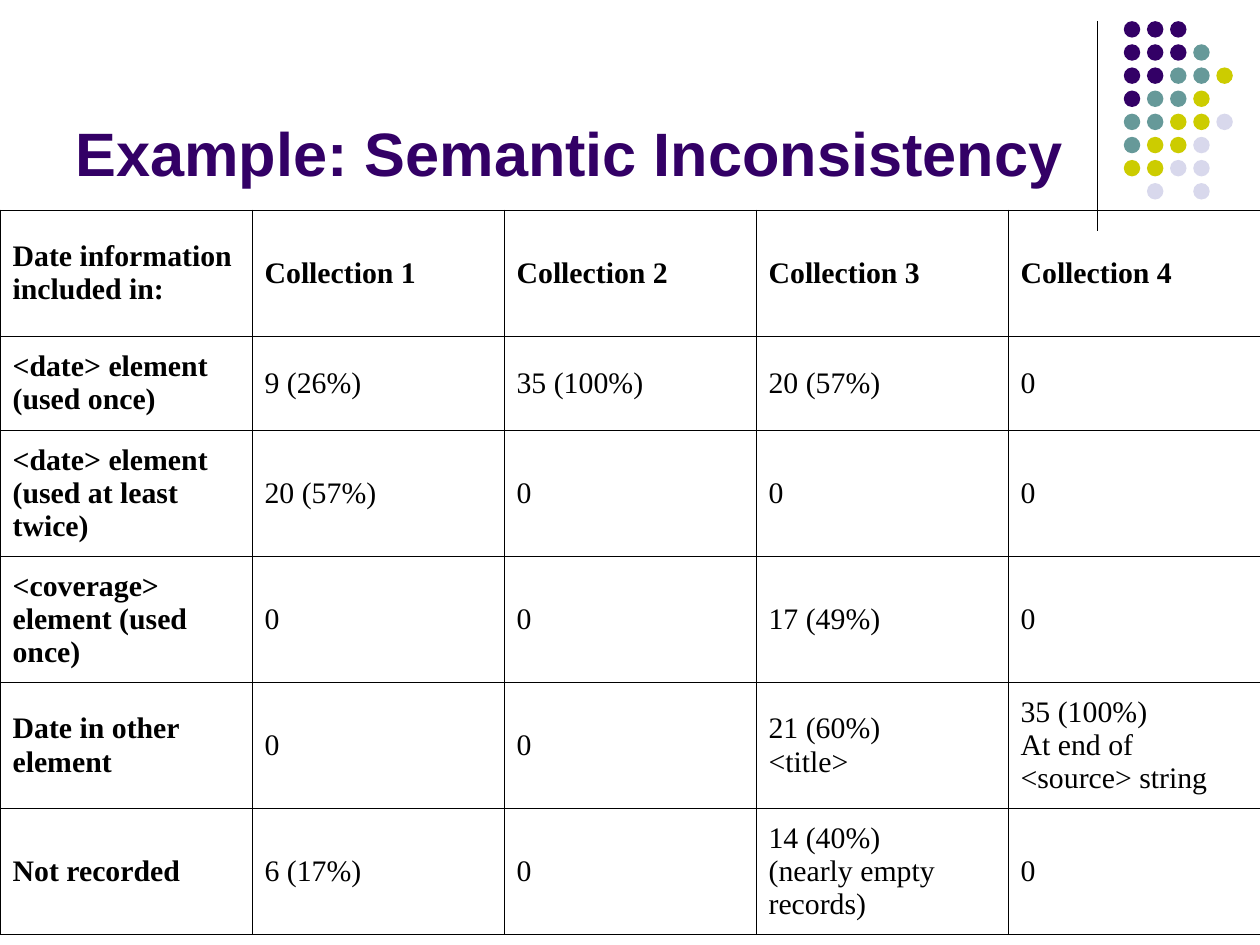
import pptx
import pptx.dml.color
import pptx.enum.shapes
import pptx.enum.text
import pptx.oxml
import pptx.oxml.ns
import pptx.util
from lxml import etree

Pt = pptx.util.Pt
COLORS = {"purple": "330066", "teal": "669999", "olive": "CCCC00",
          "lavender": "D8D8EC", "black": "000000"}

# One letter per dot, a space where the grid is empty
DOT_ROWS = ["ppp", "pppt", "pptto", "ptto", "ttool", "tool", "ooll", " l l"]
DOT_COLORS = {"p": "purple", "t": "teal", "o": "olive", "l": "lavender"}
DOT_LEFT, DOT_TOP, DOT_PITCH, DOT_SIZE = 642.2, 12.1, 13.22, 9.4

TITLE_FORMAT = {"name": "Arial", "size": Pt(35), "bold": True}
CELL_FORMAT = {"name": "Times New Roman", "size": Pt(17)}
MARGINS = {"margin_left": Pt(7.2), "margin_right": Pt(7.2),
           "margin_top": Pt(3.6), "margin_bottom": Pt(3.6)}

# In a cell, \v breaks a line and \n starts a paragraph
DATE_USE = [
    ["Date information included in:", "Collection 1", "Collection 2",
     "Collection 3", "Collection 4"],
    ["<date> element (used once)", "9 (26%)", "35 (100%)", "20 (57%)", "0"],
    ["<date> element (used at least twice)", "20 (57%)", "0", "0", "0"],
    ["<coverage> element (used once)", "0", "0", "17 (49%)", "0"],
    ["Date in other element", "0", "0", "21 (60%)\v<title>",
     "35 (100%)\nAt end of <source> string"],
    ["Not recorded", "6 (17%)", "0", "14 (40%)\v(nearly empty records)", "0"],
]
ROW_HEIGHTS = [72, 54, 72, 72, 72, 72]
COLUMN_WIDTH = 144


def rgb(color):
    return pptx.dml.color.RGBColor.from_string(COLORS[color])


def set_attributes(target, values):
    for name, value in values.items():
        setattr(target, name, value)


def format_text(frame, values, color):
    for paragraph in frame.paragraphs:
        for run in paragraph.runs:
            set_attributes(run.font, values)
            run.font.color.rgb = rgb(color)


def add_divider(slide):
    divider = slide.shapes.add_connector(
        pptx.enum.shapes.MSO_CONNECTOR.STRAIGHT,
        Pt(627), Pt(12), Pt(627), Pt(132))
    divider.line.color.rgb = rgb("black")
    divider.line.width = Pt(0.75)
    etree.SubElement(divider._element.spPr, pptx.oxml.ns.qn("a:effectLst"))


def add_dots(slide):
    dots = slide.shapes.add_group_shape()
    for row, letters in enumerate(DOT_ROWS):
        for column, letter in enumerate(letters):
            if letter == " ":
                continue
            dot = dots.shapes.add_shape(
                pptx.enum.shapes.MSO_SHAPE.OVAL,
                Pt(DOT_LEFT + column * DOT_PITCH),
                Pt(DOT_TOP + row * DOT_PITCH), Pt(DOT_SIZE), Pt(DOT_SIZE))
            dot.shadow.inherit = False
            dot.fill.solid()
            dot.fill.fore_color.rgb = rgb(DOT_COLORS[letter])
            dot.line.fill.background()


def add_title(slide, text):
    title = slide.shapes.add_textbox(Pt(36), Pt(9.4), Pt(594), Pt(102.2))
    frame = title.text_frame
    frame.text = text
    set_attributes(frame, {
        **MARGINS, "word_wrap": True,
        "vertical_anchor": pptx.enum.text.MSO_ANCHOR.BOTTOM})
    format_text(frame, TITLE_FORMAT, "purple")


def add_borders(cell):
    properties = cell._tc.get_or_add_tcPr()
    for position, side in enumerate(("lnL", "lnR", "lnT", "lnB")):
        border = pptx.oxml.parse_xml(
            f'<a:{side} {pptx.oxml.ns.nsdecls("a")} w="{Pt(0.45)}"><a:solidFill>'
            f'<a:srgbClr val="{COLORS["black"]}"/></a:solidFill></a:{side}>')
        properties.insert(position, border)


def add_date_table(slide):
    columns = len(DATE_USE[0])
    table = slide.shapes.add_table(
        len(DATE_USE), columns, Pt(0), Pt(120),
        Pt(columns * COLUMN_WIDTH), Pt(sum(ROW_HEIGHTS))).table
    set_attributes(table, {"first_row": False, "horz_banding": False})
    for column in table.columns:
        column.width = Pt(COLUMN_WIDTH)
    for r, texts in enumerate(DATE_USE):
        table.rows[r].height = Pt(ROW_HEIGHTS[r])
        for c, text in enumerate(texts):
            cell = table.cell(r, c)
            cell.text = text
            set_attributes(cell, {
                **MARGINS,
                "vertical_anchor": pptx.enum.text.MSO_ANCHOR.MIDDLE})
            cell.fill.background()
            add_borders(cell)
            # Headings stand in the first row and the first column
            heading = r == 0 or c == 0
            format_text(cell.text_frame, {**CELL_FORMAT, "bold": heading}, "black")


def main():
    presentation = pptx.Presentation()
    presentation.slide_width, presentation.slide_height = Pt(720), Pt(540)
    slide = presentation.slides.add_slide(presentation.slide_layouts[6])
    add_divider(slide)
    add_dots(slide)
    add_title(slide, "Example: Semantic Inconsistency")
    add_date_table(slide)
    presentation.save("out.pptx")


if __name__ == "__main__":
    main()
